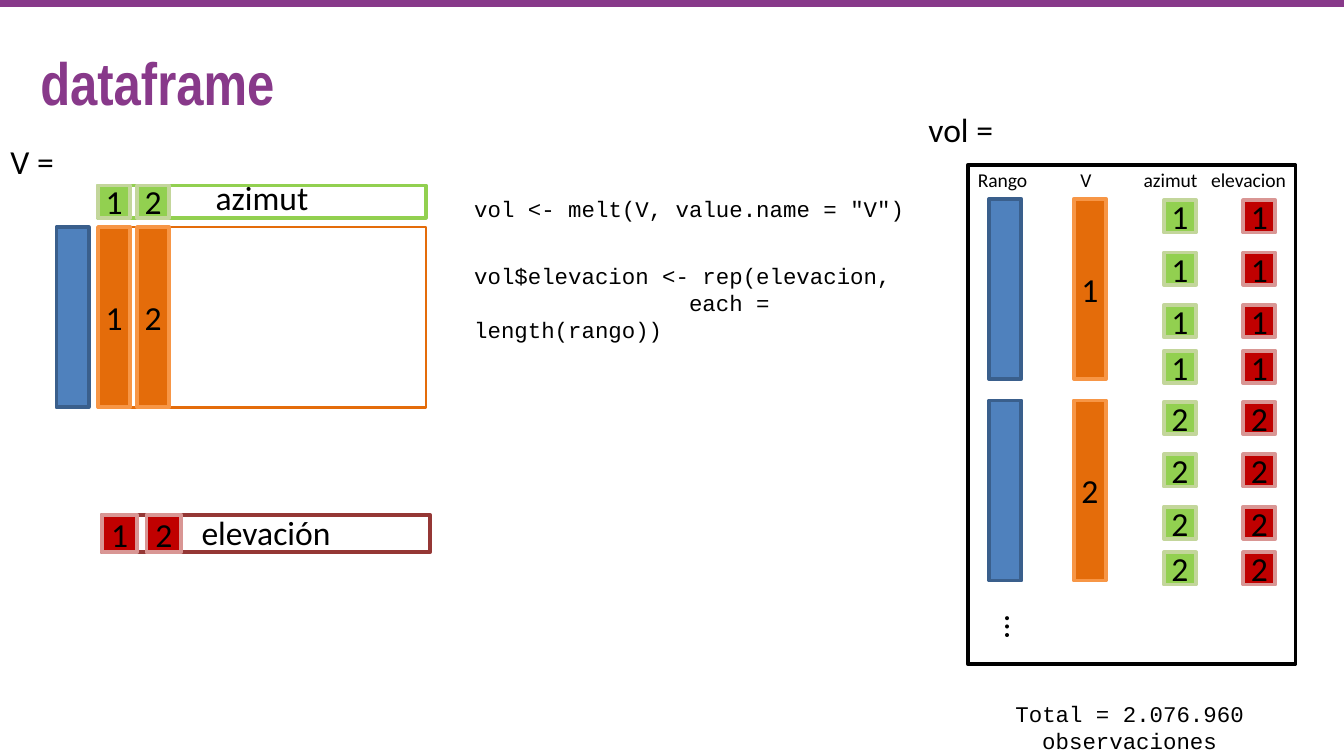
from dataclasses import dataclass
from lxml.etree import SubElement
from pptx import Presentation
from pptx.dml.color import RGBColor
from pptx.enum.shapes import MSO_CONNECTOR, MSO_SHAPE
from pptx.enum.text import MSO_ANCHOR, MSO_AUTO_SIZE, PP_ALIGN
from pptx.oxml.ns import qn
from pptx.util import Inches, Pt


@dataclass(frozen=True)
class Theme:
    purple: str = "88398A"
    black: str = "000000"
    sans: str = "Calibri"
    mono: str = "Courier New"
    heading: str = "Arial Narrow"
    title: float = 32
    body: float = 18
    code: float = 12
    header: float = 10.5


THEME = Theme()
# Fill and line of each variable
RANGE = ("4F81BD", "3A5F8C")
VALUE = ("E46C0A", "F79646")
AZIMUTH = ("92D050", "C3D69B")
ELEVATION = ("C00000", "D99694")

# Content: frames as (box, line colour, line width)
FRAMES = [
    ((7.2, 1.23, 2.44, 3.71), THEME.black, 2),
    ((0.73, 1.69, 2.44, 1.34), "E46C0A", 1.5),
    ((0.73, 1.38, 2.44, 0.24), "92D050", 2),
    ((0.76, 3.83, 2.44, 0.28), "953735", 2),
]
FRAME_LABELS = [
    ("azimut", (0.73, 1.27, 2.44, 0.4)),
    ("elevación", (0.76, 3.76, 2.44, 0.4)),
]
# Numbered pairs: (colours, left, top, width, height, step)
PAIRS = [
    (VALUE, 0.73, 1.69, 0.24, 1.34, 0.29),
    (AZIMUTH, 0.73, 1.38, 0.24, 0.24, 0.29),
    (ELEVATION, 0.76, 3.83, 0.26, 0.28, 0.33),
]
CELL, BAR = 0.24, 1.34
GROUP_TOPS = {"1": 1.48, "2": 2.98}
ROW_OFFSETS = (0.01, 0.4, 0.79, 1.13)
VOL_COLUMNS = {"Rango": 7.36, "V": 7.99, "azimut": 8.66, "elevacion": 9.25}
HEADER_CENTERS = {"Rango": 7.46, "V": 8.08, "azimut": 8.71, "elevacion": 9.29}
EQUATIONS = [("V =", (-0.02, 1, 0.53, 0.4)), ("vol =", (6.81, 0.76, 0.69, 0.4))]
CODE = [
    (['vol <- melt(V, value.name = "V")'], (3.43, 1.4, 3.62, 0.3)),
    (["vol$elevacion <- rep(elevacion,",
      "                each = length(rango))"], (3.43, 1.9, 3.73, 0.5)),
]
TOTAL = "Total = 2.076.960 observaciones"

# Widescreen page, 16:9
prs = Presentation()
prs.slide_width = Inches(10)
prs.slide_height = prs.slide_width * 9 // 16
slide = prs.slides.add_slide(prs.slide_layouts[5])
shapes = slide.shapes


def inches(box):
    return [Inches(value) for value in box]


def write(frame, lines, size, font=THEME.sans, color=THEME.black,
          align=PP_ALIGN.LEFT, bold=False):
    frame.text = "\n".join(lines)
    for paragraph in frame.paragraphs:
        paragraph.alignment = align
        paragraph.font.name, paragraph.font.size = font, Pt(size)
        paragraph.font.bold = bold
        paragraph.font.color.rgb = RGBColor.from_string(color)


def add_text(box, lines, size, wrap=True, **style):
    frame = shapes.add_textbox(*inches(box)).text_frame
    frame.word_wrap = wrap
    write(frame, lines, size, **style)
    return frame


def add_rect(box, fill, line, width=2, label=""):
    rect = shapes.add_shape(MSO_SHAPE.RECTANGLE, *inches(box))
    rect.shadow.inherit = False
    if fill:
        rect.fill.solid()
        rect.fill.fore_color.rgb = RGBColor.from_string(fill)
    else:
        rect.fill.background()
    rect.line.color.rgb = RGBColor.from_string(line)
    rect.line.width = Pt(width)
    if label:
        frame = rect.text_frame
        frame.margin_left = frame.margin_right = 0
        frame.margin_top = frame.margin_bottom = 0
        frame.word_wrap = False
        frame.vertical_anchor = MSO_ANCHOR.MIDDLE
        write(frame, [label], THEME.body, align=PP_ALIGN.CENTER)


# Title and top rule
title = shapes.title
title.left, title.top, title.width, title.height = inches((0.2, 0.29, 1.96, 0.64))
title.text_frame.word_wrap = False
title.text_frame.auto_size = MSO_AUTO_SIZE.NONE
title.text_frame.vertical_anchor = MSO_ANCHOR.TOP
write(title.text_frame, ["dataframe"], THEME.title, font=THEME.heading,
      color=THEME.purple, bold=True)

rule = shapes.add_connector(MSO_CONNECTOR.STRAIGHT, *inches((0, 0.02, 10, 0.02)))
rule.line.color.rgb = RGBColor.from_string(THEME.purple)
rule.line.width = Pt(4.5)
SubElement(rule._element.spPr, qn("a:effectLst"))

# Frames and their labels, then the matrix parts on the left
for box, line, width in FRAMES:
    add_rect(box, None, line, width)
for label, box in FRAME_LABELS:
    add_text(box, [label], THEME.body, align=PP_ALIGN.CENTER)
add_rect((0.42, 1.69, CELL, BAR), *RANGE)
for colors, left, top, width, height, step in PAIRS:
    for i, number in enumerate("12"):
        add_rect((left + i * step, top, width, height), *colors, label=number)

# Long table on the right
for number, top in GROUP_TOPS.items():
    add_rect((VOL_COLUMNS["Rango"], top, CELL, BAR), *RANGE)
    add_rect((VOL_COLUMNS["V"], top, CELL, BAR), *VALUE, label=number)
    for offset in ROW_OFFSETS:
        for column, colors in (("azimut", AZIMUTH), ("elevacion", ELEVATION)):
            add_rect((VOL_COLUMNS[column], top + offset, CELL, CELL), *colors,
                     label=number)
for header, center in HEADER_CENTERS.items():
    add_text((center - 0.4, 1.2, 0.8, 0.28), [header], THEME.header, wrap=False,
             align=PP_ALIGN.CENTER)
ellipsis = add_text((7.28, 4.48, 0.5, 0.27), ["…"], THEME.body, wrap=False)
ellipsis._txBody.bodyPr.set("vert", "vert")

# Equations, code and total
for equation, box in EQUATIONS:
    add_text(box, [equation], THEME.body, wrap=False)
for lines, box in CODE:
    add_text(box, lines, THEME.code, font=THEME.mono)
add_text((6.81, 5.16, 3.19, 0.3), [TOTAL], THEME.code, font=THEME.mono,
         align=PP_ALIGN.CENTER)

prs.save("out.pptx")
